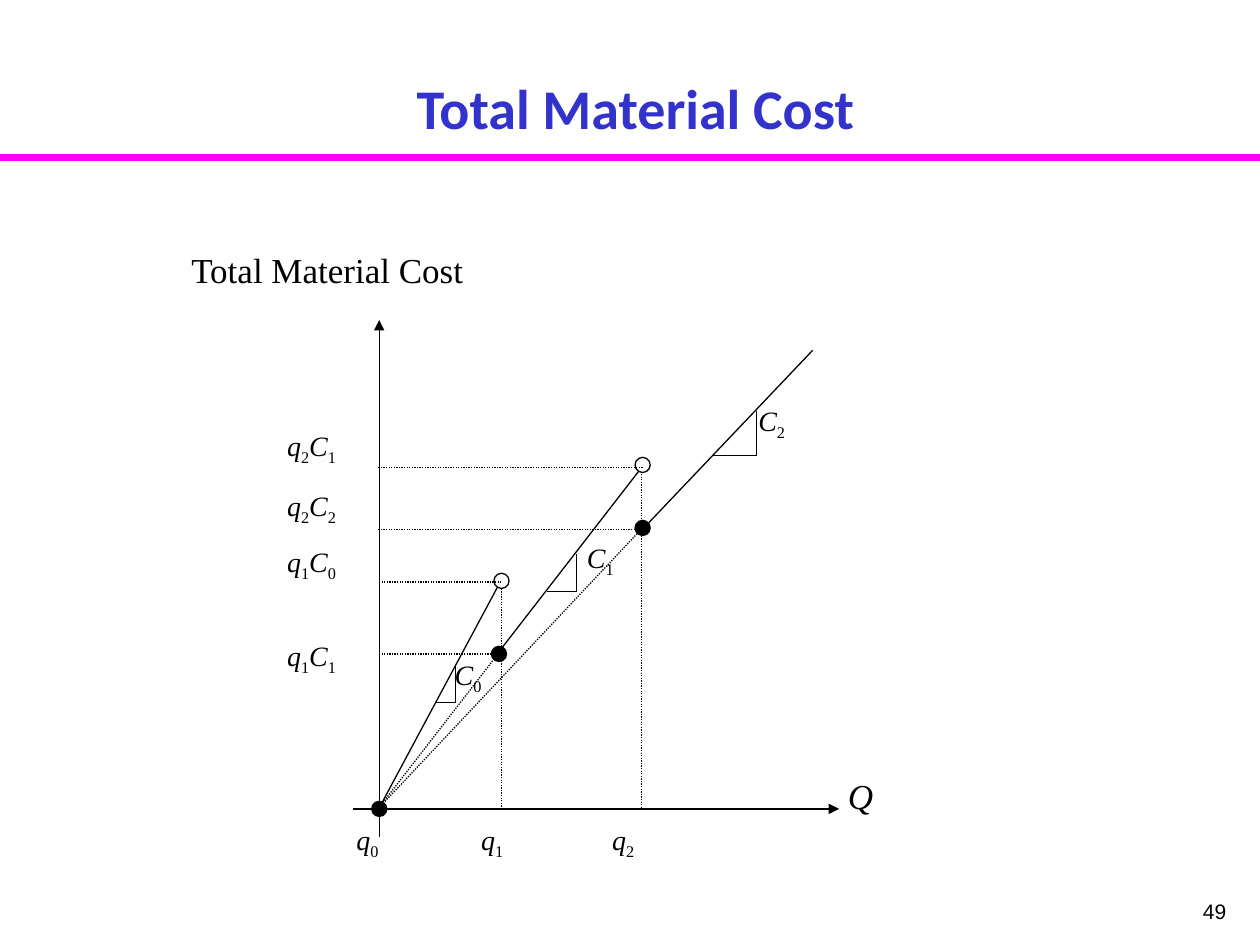
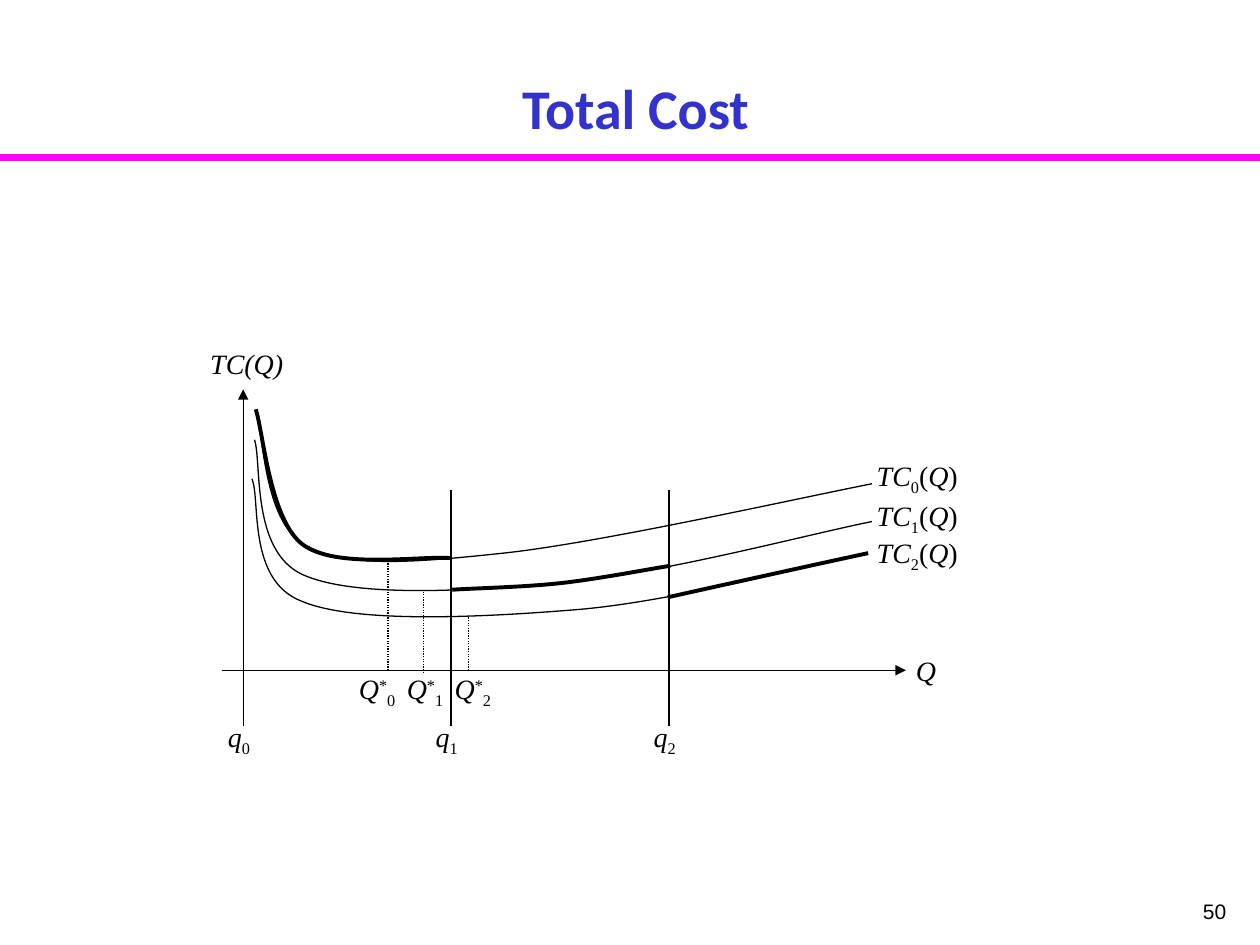
import itertools
from dataclasses import dataclass

import pptx
import pptx.dml.color
import pptx.enum.dml
import pptx.enum.shapes
import pptx.enum.text
import pptx.oxml
import pptx.oxml.ns
import pptx.util
from pptx.slide import Slide, SlideLayout
from pptx.util import Inches

BLACK, WHITE = "000000", "FFFFFF"
TITLE_BLUE, RULE_MAGENTA = "3333CC", "FF00FF"
MATH_FONT = "Times New Roman"
THIN, HAIR, BOLD = 0.75, 0.25, 2.25
SUBSCRIPT, SUPERSCRIPT = -25000, 30000
NAMESPACE = pptx.oxml.ns.nsdecls("a")

Point = tuple[float, float]


@dataclass
class Segment:
    start: Point
    end: Point
    weight: float = THIN
    dotted: bool = False
    arrow: bool = False
    color: str = BLACK


@dataclass
class Dot:
    left: float
    top: float
    fill: str


@dataclass
class Label:
    """In text, _ lowers, ^ raises and | sets upright the next character."""
    text: str
    left: float
    top: float
    width: float
    height: float = 0.4
    size: float = 16
    italic: bool = True


@dataclass
class Curve:
    """Joined cubic Bezier pieces: a start, then three points per piece."""
    points: list[Point]
    weight: float = THIN


def rgb(color: str) -> pptx.dml.color.RGBColor:
    return pptx.dml.color.RGBColor.from_string(color)


def style_line(line, color: str, weight: float) -> None:
    line.color.rgb = rgb(color)
    line.width = pptx.util.Pt(weight)


def draw_segment(slide: Slide, segment: Segment):
    ends = [Inches(value) for value in segment.start + segment.end]
    connector = slide.shapes.add_connector(
        pptx.enum.shapes.MSO_CONNECTOR.STRAIGHT, *ends)
    style_line(connector.line, segment.color, segment.weight)
    if segment.dotted:
        connector.line.dash_style = pptx.enum.dml.MSO_LINE.ROUND_DOT
    if segment.arrow:
        connector.line._get_or_add_ln().append(
            pptx.oxml.parse_xml(f'<a:tailEnd {NAMESPACE} type="triangle"/>'))
    connector._element.spPr.append(
        pptx.oxml.parse_xml(f"<a:effectLst {NAMESPACE}/>"))
    return connector


def draw_dot(slide: Slide, dot: Dot) -> None:
    circle = slide.shapes.add_shape(
        pptx.enum.shapes.MSO_SHAPE.OVAL, Inches(dot.left), Inches(dot.top),
        Inches(0.12), Inches(0.12))
    circle.shadow.inherit = False
    circle.fill.solid()
    circle.fill.fore_color.rgb = rgb(dot.fill)
    style_line(circle.line, BLACK, THIN)


def draw_curve(slide: Slide, curve: Curve) -> None:
    start, *rest = [(Inches(x), Inches(y)) for x, y in curve.points]
    builder = slide.shapes.build_freeform(*start)
    builder.add_line_segments(rest, close=False)
    outline = builder.convert_to_shape()
    # Turn each three straight steps into one Bezier piece
    steps = outline._element.findall(".//" + pptx.oxml.ns.qn("a:lnTo"))
    for first in range(0, len(steps), 3):
        piece = pptx.oxml.parse_xml(f"<a:cubicBezTo {NAMESPACE}/>")
        steps[first].addprevious(piece)
        for step in steps[first:first + 3]:
            piece.append(step[0])
            step.getparent().remove(step)
    outline.shadow.inherit = False
    outline.fill.background()
    style_line(outline.line, BLACK, curve.weight)


def styled_characters(label: Label) -> list[tuple[str, bool, int]]:
    """Return each character with its italic setting and baseline shift."""
    shifts = {"_": SUBSCRIPT, "^": SUPERSCRIPT, "|": 0}
    characters, mark = [], ""
    for character in label.text:
        if character in shifts:
            mark = character
            continue
        italic = label.italic and not mark
        characters.append((character, italic, shifts.get(mark, 0)))
        mark = ""
    return characters


def draw_label(slide: Slide, label: Label) -> None:
    frame = slide.shapes.add_textbox(
        Inches(label.left), Inches(label.top),
        Inches(label.width), Inches(label.height)).text_frame
    frame.word_wrap = True
    paragraph = frame.paragraphs[0]
    paragraph.font.name = MATH_FONT
    paragraph.font.size = pptx.util.Pt(label.size)
    paragraph.font.color.rgb = rgb(BLACK)
    groups = itertools.groupby(styled_characters(label), key=lambda c: c[1:])
    for (italic, shift), characters in groups:
        run = paragraph.add_run()
        run.text = "".join(character[0] for character in characters)
        run.font.italic = italic
        if shift:
            run._r.get_or_add_rPr().set("baseline", str(shift))


DRAWERS = {Segment: draw_segment, Dot: draw_dot,
           Label: draw_label, Curve: draw_curve}


def add_diagram_slide(deck, layout: SlideLayout, heading: str, number: int,
                      parts: list) -> Slide:
    slide = deck.slides.add_slide(layout)

    # Title
    title = slide.shapes.title
    title.left, title.top = Inches(0.42), Inches(0.42)
    title.width, title.height = Inches(9.25), Inches(0.75)
    frame = title.text_frame
    frame.text = heading
    frame.auto_size = pptx.enum.text.MSO_AUTO_SIZE.NONE
    frame.vertical_anchor = pptx.enum.text.MSO_ANCHOR.BOTTOM
    paragraph = frame.paragraphs[0]
    paragraph.alignment = pptx.enum.text.PP_ALIGN.CENTER
    paragraph.font.name = "Calibri"
    paragraph.font.size = pptx.util.Pt(32)
    paragraph.font.bold = True
    paragraph.font.color.rgb = rgb(TITLE_BLUE)

    # Diagram
    for part in parts:
        DRAWERS[type(part)](slide, part)

    # Page number
    footer = slide.shapes.add_textbox(
        Inches(7.75), Inches(7.08), Inches(2.08), Inches(0.42)).text_frame
    footer.word_wrap = True
    footer.text = str(number)
    paragraph = footer.paragraphs[0]
    paragraph.alignment = pptx.enum.text.PP_ALIGN.RIGHT
    paragraph.font.name = "Arial"
    paragraph.font.size = pptx.util.Pt(12)
    paragraph.font.color.rgb = rgb(BLACK)
    return slide


def material_cost_parts() -> list:
    origin_x, origin_y = 3, 6.42
    q1, q2 = 3.98, 5.09
    axes = [
        Segment((3.01, 6.64), (3.01, 2.54), arrow=True),
        Segment((2.8, origin_y), (6.66, origin_y), arrow=True),
    ]
    breakpoints = [Segment((x, top), (x, 6.43), dotted=True)
                   for x, top in ((q1, 4.57), (q2, 3.7))]
    cost_lines = [
        Segment((origin_x, 6.43), (3.97, 4.62)),
        Segment((3.97, 5.16), (5.1, 3.7)),
        Segment((5.11, 4.19), (6.45, 2.78)),
    ]
    # Slope triangles: left, right, corner x, base y, top
    slopes = []
    for left, right, corner, base, top in ((3.46, 3.62, 3.61, 5.57, 5.28),
                                           (4.34, 4.58, 4.57, 4.69, 4.4),
                                           (5.65, 6.01, 6, 3.61, 3.26)):
        slopes += [Segment((left, base), (right, base), HAIR),
                   Segment((corner, base), (corner, top), HAIR)]
    dots = [Dot(2.95, 6.36, BLACK), Dot(3.92, 4.55, WHITE),
            Dot(3.9, 5.13, BLACK), Dot(5.04, 4.13, BLACK),
            Dot(5.04, 3.63, WHITE)]
    cost_levels = [
        Segment((right, y), (left, y), dotted=True)
        for right, left, y in ((q1, 3.01, 4.62), (q1, 3.01, 5.19),
                               (5.1, origin_x, 3.71), (5.1, origin_x, 4.2))]
    rays = [Segment((3.96, 5.18), (origin_x, origin_y), dotted=True),
            Segment((origin_x, origin_y), (q2, 4.2), dotted=True)]
    labels = [
        Label("Total Material Cost", 1.42, 1.92, 3.16, 0.56, 20, italic=False),
        Label("Q", 6.63, 6.1, 0.62, 0.56, 20)]
    labels += [Label(text, 2.18, top, 0.82, 0.71) for text, top in (
        ("q_2C_1", 3.35), ("q_2C_2", 3.83), ("q_1C_0", 4.27), ("q_1C_1", 5.02))]
    labels += [Label(f"q_{i}", left, 6.48, 0.55, 0.52)
               for i, left in enumerate((2.73, 3.72, 4.76))]
    labels += [Label(f"C_{i}", left, top, 0.61, 0.52) for i, (left, top) in
               enumerate(((3.51, 5.17), (4.56, 4.24), (5.92, 3.15)))]
    return (axes + breakpoints + cost_lines + slopes + dots
            + cost_levels + rays + labels)


def total_cost_parts() -> list:
    q1, q2 = 3.58, 5.31
    cost_curves = [
        Curve([(2, 3.8), (2.07, 3.96), (1.96, 4.6), (2.39, 4.77),
               (2.81, 4.95), (3.81, 4.9), (4.56, 4.84),
               (5.32, 4.78), (6.41, 4.49), (6.89, 4.39)]),
        Curve([(2.02, 3.49), (2.08, 3.67), (1.99, 4.37), (2.4, 4.56),
               (2.82, 4.75), (3.76, 4.69), (4.51, 4.62),
               (5.26, 4.55), (6.42, 4.24), (6.92, 4.14)]),
        Curve([(2.03, 3.25), (2.09, 3.43), (2.09, 4.13), (2.41, 4.32),
               (2.74, 4.51), (3.25, 4.47), (4, 4.39),
               (4.75, 4.31), (6.31, 3.96), (6.92, 3.84)]),
    ]
    valid_ranges = [
        Curve([(2.03, 3.25), (2.09, 3.43), (2.14, 4.12), (2.4, 4.32),
               (2.66, 4.52), (3.33, 4.41), (3.58, 4.43)], BOLD),
        Curve([(3.59, 4.68), (3.73, 4.67), (4.15, 4.66), (4.43, 4.63),
               (4.72, 4.6), (5.13, 4.52), (5.32, 4.49)], BOLD),
        Curve([(5.3, 4.74), (5.57, 4.68), (6.56, 4.46), (6.89, 4.39)], BOLD),
    ]
    axes = [
        Segment((1.93, 5.76), (1.93, 3.09), arrow=True),
        Segment((1.76, 5.32), (7.19, 5.32), arrow=True),
    ]
    breakpoints = [Segment((x, 3.89), (x, 5.76)) for x in (q1, q2)]
    optima = [Segment((x, bottom), (x, top), dotted=True)
              for x, bottom, top in ((3.08, 5.32, 4.46), (3.36, 5.34, 4.68),
                                     (3.72, 5.32, 4.9))]
    labels = [Label("TC(Q)", 1.57, 2.7, 0.88), Label("Q", 7.17, 5.14, 0.47)]
    labels += [Label(f"TC_{i}|(Q|)", 6.86, top, 0.98)
               for i, top in enumerate((3.59, 3.91, 4.2))]
    labels += [Label(f"Q^*_{i}", 2.75 + 0.38 * i, 5.28, 0.58)
               for i in range(3)]
    labels += [Label(f"q_{i}", left, 5.66, 0.44)
               for i, left in enumerate((1.71, 3.36, 5.09))]
    return cost_curves + valid_ranges + axes + breakpoints + optima + labels


def main() -> None:
    deck = pptx.Presentation()
    deck.slide_width, deck.slide_height = Inches(10), Inches(7.5)
    layout = deck.slide_layouts[5]
    material_cost = add_diagram_slide(
        deck, layout, "Total Material Cost", 49, material_cost_parts())
    add_diagram_slide(deck, layout, "Total Cost", 50, total_cost_parts())

    # Shared rule under the titles, moved to the layout
    rule = draw_segment(
        material_cost, Segment((0, 1.25), (10, 1.25), 4, color=RULE_MAGENTA))
    layout.shapes._spTree.append(rule._element)
    deck.save("out.pptx")


if __name__ == "__main__":
    main()
